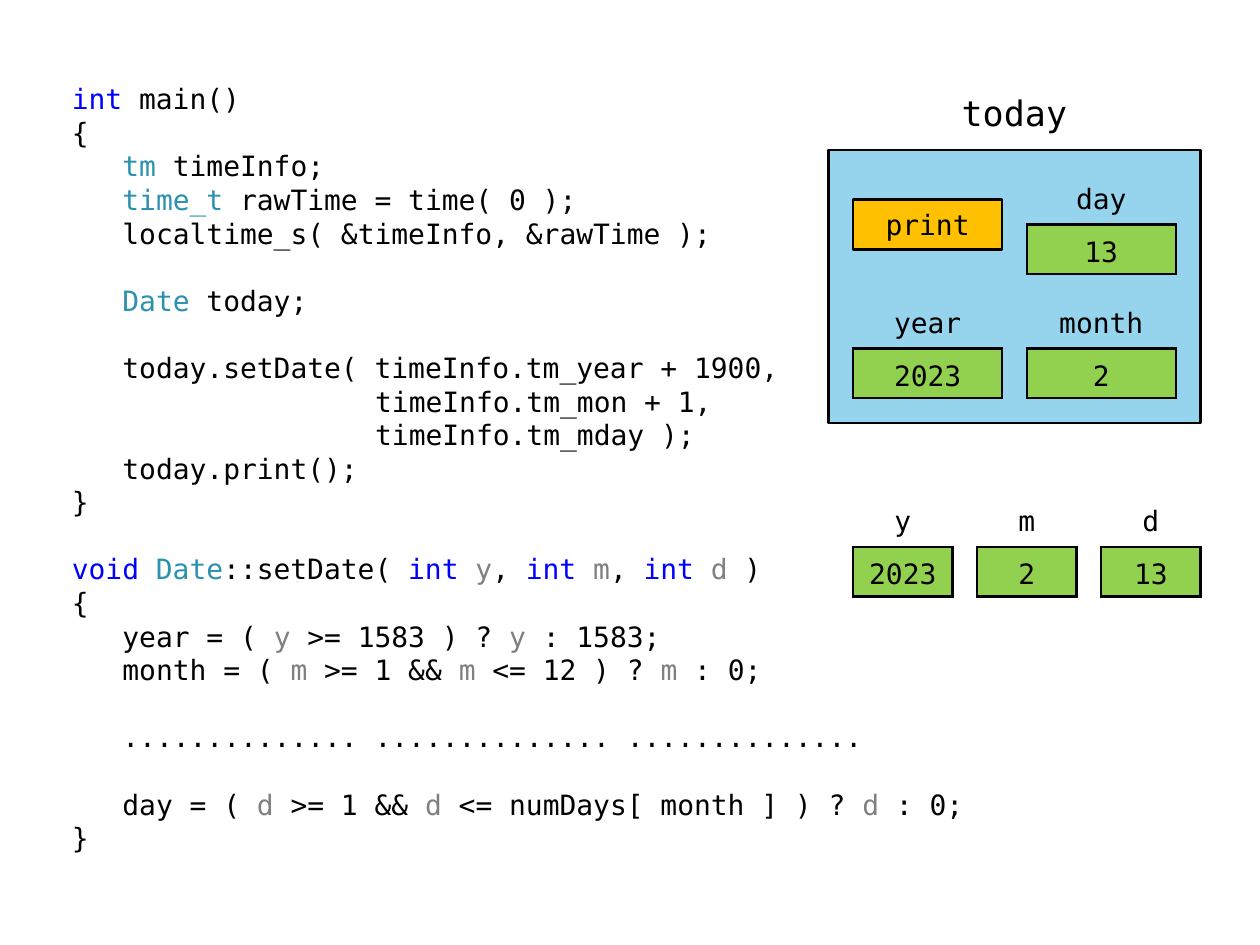
from itertools import groupby

from lxml import etree
from pptx import Presentation
from pptx import util as u
from pptx.dml.color import RGBColor
from pptx.enum import shapes, text
from pptx.oxml.ns import qn

BLACK = RGBColor(0x00, 0x00, 0x00)
BLUE = RGBColor(0x00, 0x00, 0xFF)
TEAL = RGBColor(0x2B, 0x91, 0xAF)
GREY = RGBColor(0x80, 0x80, 0x80)
GREEN = RGBColor(0x92, 0xD0, 0x50)
GOLD = RGBColor(0xFF, 0xC0, 0x00)
SKY = RGBColor(0x96, 0xD4, 0xEE)

FONT = "DejaVu Sans Mono"
PLAIN = "{2D5ABB26-0587-4C30-8999-92F81FD0307C}"  # table style without lines
EDGE = u.Pt(1.5)
PITCH = u.Pt(19.2)  # height of a code line
CHAR = u.Pt(9.63)  # width of a code letter
STEP = u.Mm(5)  # side of a grid cell
LEFT, TOP = u.Mm(12), u.Mm(15.25)

TINTS = {
    **dict.fromkeys(["int", "void"], BLUE),
    **dict.fromkeys(["tm", "time_t", "Date"], TEAL),
    **dict.fromkeys("ymd", GREY),
}

CODE = """\
int main()
{
   tm timeInfo;
   time_t rawTime = time( 0 );
   localtime_s( &timeInfo, &rawTime );

   Date today;

   today.setDate( timeInfo.tm_year + 1900,
                  timeInfo.tm_mon + 1,
                  timeInfo.tm_mday );
   today.print();
}

void Date::setDate( int y, int m, int d )
{
   year = ( y >= 1583 ) ? y : 1583;
   month = ( m >= 1 && m <= 12 ) ? m : 0;

   .............. .............. ..............

   day = ( d >= 1 && d <= numDays[ month ] ) ? d : 0;
}"""


def place(col, row, cols, rows):
    """Turn grid columns and rows into left, top, width and height."""
    return LEFT + col * STEP, TOP + row * STEP, cols * STEP, rows * STEP


def style(para, size=16):
    para.font.name = FONT
    para.font.size = u.Pt(size)
    para.font.color.rgb = BLACK


def label(frame, words, size=16):
    """Write one centred line in the middle of a frame."""
    frame.word_wrap = True
    frame.vertical_anchor = text.MSO_ANCHOR.MIDDLE
    para = frame.paragraphs[0]
    para.text = words
    para.alignment = text.PP_ALIGN.CENTER
    style(para, size)


def tint(line):
    """Yield the parts of a code line with their colours."""
    words = ["".join(part) for _, part in
             groupby(line, lambda c: c.isalnum() or c == "_")]
    for color, part in groupby(words, lambda w: TINTS.get(w, BLACK)):
        yield "".join(part), color


def code(slide, box):
    frame = slide.shapes.add_textbox(*place(*box)).text_frame
    frame.word_wrap = True
    para, gap = frame.paragraphs[0], 0
    for num, line in enumerate(CODE.splitlines()):
        body = line.lstrip()
        if not body:
            gap += 1
            continue
        if num:
            para = frame.add_paragraph()
        style(para)
        para.line_spacing = PITCH
        para.space_before = gap * PITCH
        gap = 0
        props = para._p.get_or_add_pPr()
        props.set("marL", str((len(line) - len(body)) * CHAR))
        props.set("indent", "0")
        for words, color in tint(body):
            run = para.add_run()
            run.text = words
            if color != BLACK:
                run.font.color.rgb = color


def block(slide, box, fill):
    shape = slide.shapes.add_shape(
        shapes.MSO_SHAPE.FLOWCHART_PROCESS, *place(*box))
    shape.shadow.inherit = False
    shape.fill.solid()
    shape.fill.fore_color.rgb = fill
    shape.line.color.rgb = BLACK
    shape.line.width = EDGE
    return shape


def frame_cell(cell):
    """Draw a black line on each side of a cell."""
    props = cell._tc.get_or_add_tcPr()
    for num, side in enumerate(["lnL", "lnR", "lnT", "lnB"]):
        line = etree.Element(qn(f"a:{side}"), w=str(EDGE))
        fill = etree.SubElement(line, qn("a:solidFill"))
        etree.SubElement(fill, qn("a:srgbClr"), val=str(BLACK))
        props.insert(num, line)


def field(slide, box, name, value):
    """Place a variable: its name over a green cell with its value."""
    table = slide.shapes.add_table(2, 1, *place(*box)).table
    table.first_row = table.horz_banding = False
    table._tbl.tblPr.find(qn("a:tableStyleId")).text = PLAIN
    head, cell = table.cell(0, 0), table.cell(1, 0)
    for part, words in ((head, name), (cell, value)):
        label(part.text_frame, words)
        part.vertical_anchor = text.MSO_ANCHOR.MIDDLE
    head.fill.background()
    cell.margin_bottom = 0
    cell.fill.solid()
    cell.fill.fore_color.rgb = GREEN
    frame_cell(cell)


def today(slide, box):
    """Place the object with its title, its method and its fields."""
    col, row, cols, rows = box
    block(slide, (col, row + 3, cols, rows - 3), SKY)
    near, far = col + 1, col + 8
    method = block(slide, (near, row + 5, 6, 2), GOLD)
    label(method.text_frame, "print")
    field(slide, (near, row + 9, 6, 4), "year", "2023")
    field(slide, (far, row + 9, 6, 4), "month", "2")
    field(slide, (far, row + 4, 6, 4), "day", "13")
    title = slide.shapes.add_textbox(*place(col + 4, row, 7, 3))
    label(title.text_frame, "today", 20)


def params(slide, box):
    col, row, cols, rows = box
    for num, (name, value) in enumerate(zip("ymd", ["2023", "2", "13"])):
        field(slide, (col + 5 * num, row, 4, rows), name, value)


def main():
    deck = Presentation()
    deck.slide_width, deck.slide_height = u.Inches(10), u.Inches(7.5)
    slide = deck.slides.add_slide(deck.slide_layouts[6])
    code(slide, (0, 0, 46, 32))
    params(slide, (32, 17, 14, 4))
    today(slide, (31, 0, 15, 14))
    deck.save("out.pptx")


if __name__ == "__main__":
    main()
